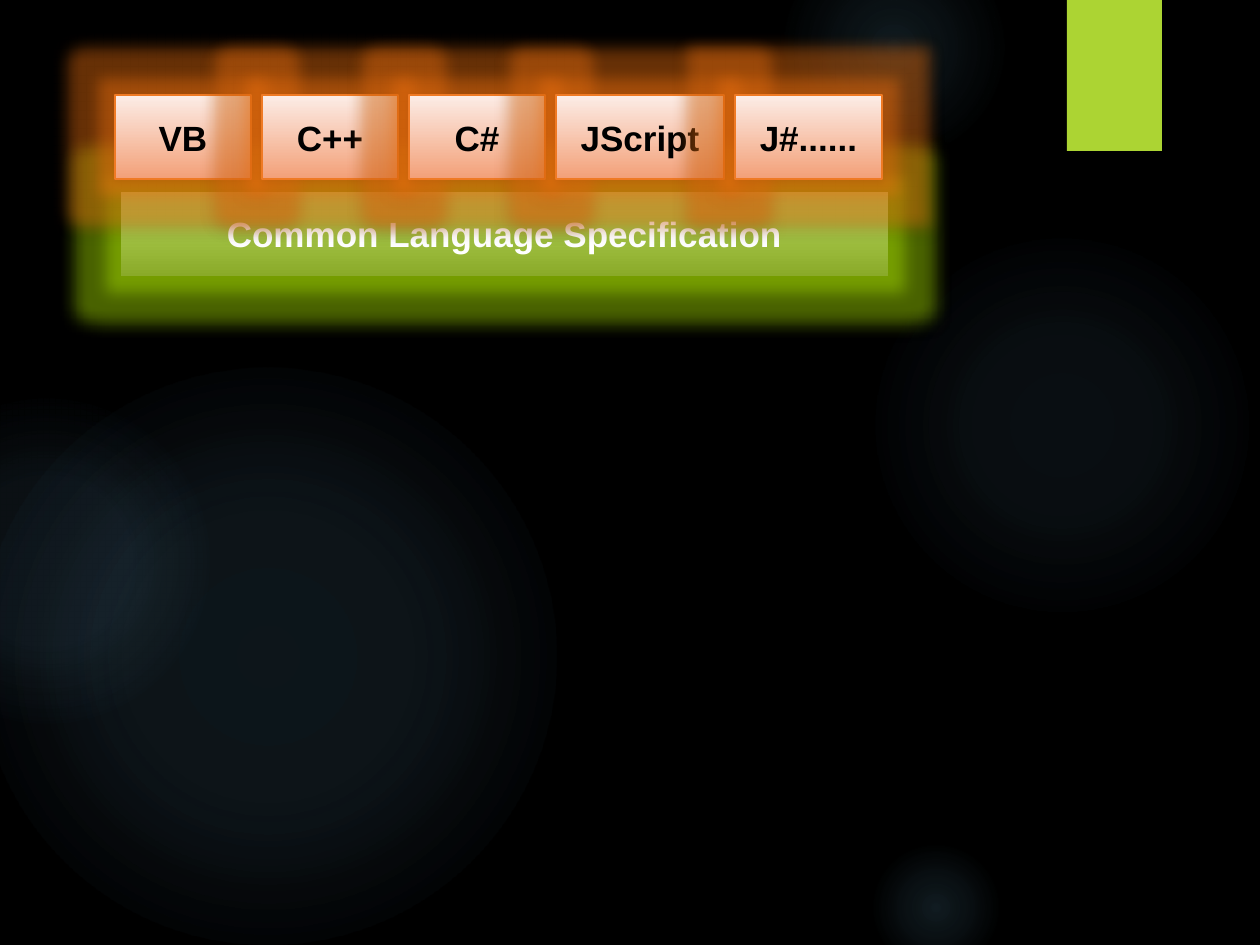
from lxml import etree
from pptx import Presentation
from pptx.dml.color import RGBColor
from pptx.enum.shapes import MSO_SHAPE
from pptx.enum.text import MSO_ANCHOR, PP_ALIGN
from pptx.oxml.ns import qn
from pptx.util import Pt

RECTANGLE, OVAL = MSO_SHAPE.RECTANGLE, MSO_SHAPE.OVAL
MIDDLE, CENTER = MSO_ANCHOR.MIDDLE, PP_ALIGN.CENTER
EMU_PER_PX = 914400 / 126
EMU_PER_PT = 12700

COLORS = {
    "background": "000000", "shadow": "000000", "halo": "7AC4F0", "tab": "ACD433",
    "bar_top": "BCDC62", "bar_bottom": "8AAA29", "bar_glow": "B8F500", "bar_text": "FFFFFF",
    "box_top": "FCEDE7", "box_bottom": "F3A078", "box_glow": "FF7810",
    "box_line": "EF7A24", "box_text": "000000",
}
LABEL_FORMAT = {"name": "Arial", "size": Pt(20), "bold": True}
GLOW = {"radius": 18, "alpha": 40}


class SlideBuilder:
    def __init__(self, deck):
        self.page = deck.slides.add_slide(deck.slide_layouts[6])
        fill = self.page.background.fill
        fill.solid()
        fill.fore_color.rgb = self.color("background")

    def color(self, name):
        return RGBColor.from_string(COLORS[name])

    def shape(self, kind, *place):
        shape = self.page.shapes.add_shape(kind, *(round(value * EMU_PER_PX) for value in place))
        shape.shadow.inherit = False
        shape.line.fill.background()
        return shape

    def add_color(self, parent, name, alpha):
        color = etree.SubElement(parent, qn("a:srgbClr"), val=COLORS[name])
        etree.SubElement(color, qn("a:alpha"), val=str(alpha * 1000))

    def gradient(self, shape, stops, radial=False):
        shape.fill.background()
        properties = shape.element.spPr
        gradient = etree.Element(qn("a:gradFill"), rotWithShape="1")
        properties.replace(properties.find(qn("a:noFill")), gradient)
        stop_list = etree.SubElement(gradient, qn("a:gsLst"))
        for position, name, alpha in stops:
            stop = etree.SubElement(stop_list, qn("a:gs"), pos=str(position * 1000))
            self.add_color(stop, name, alpha)
        if radial:
            path = etree.SubElement(gradient, qn("a:path"), path="circle")
            etree.SubElement(path, qn("a:fillToRect"), dict.fromkeys("ltrb", "50000"))
        else:
            etree.SubElement(gradient, qn("a:lin"), ang="5400000", scaled="0")

    def effects(self, shape, shadow, glow=None):
        effect_list = shape.element.spPr.find(qn("a:effectLst"))
        if glow:
            radius = str(GLOW["radius"] * EMU_PER_PT)
            halo = etree.SubElement(effect_list, qn("a:glow"), rad=radius)
            self.add_color(halo, glow, GLOW["alpha"])
        alpha, blur, distance = shadow
        drop = etree.SubElement(
            effect_list, qn("a:outerShdw"), blurRad=str(round(blur * EMU_PER_PT)),
            dist=str(round(distance * EMU_PER_PT)), dir="5400000", rotWithShape="0")
        self.add_color(drop, "shadow", alpha)

    def halo(self, left, top, size, stops):
        oval = self.shape(OVAL, left, top, size, size)
        self.gradient(oval, [(position, "halo", alpha) for position, alpha in stops], radial=True)

    def tab(self, *place):
        tab = self.shape(RECTANGLE, *place)
        tab.fill.solid()
        tab.fill.fore_color.rgb = self.color("tab")
        self.effects(tab, (45, 3, 2))

    def block(self, text, style, shadow, *place):
        block = self.shape(RECTANGLE, *place)
        self.gradient(block, [(0, f"{style}_top", 100), (100, f"{style}_bottom", 100)])
        self.effects(block, shadow, f"{style}_glow")
        frame = block.text_frame
        frame.word_wrap = False
        frame.vertical_anchor = MIDDLE
        para = frame.paragraphs[0]
        para.alignment = CENTER
        span = para.add_run()
        span.text = text
        for name, value in LABEL_FORMAT.items():
            setattr(span.font, name, value)
        span.font.color.rgb = self.color(f"{style}_text")
        return block

    def language(self, text, *place):
        box = self.block(text, "box", (40, 4, 2), *place)
        box.line.color.rgb = self.color("box_line")
        box.line.width = Pt(0.75)


HALOS = [
    (868, 231, 388, [(0, 7), (36, 6), (69, 0)]),
    (784, -63, 220, [(0, 14), (36, 7), (73, 0)]),
    (868, 840, 136, [(0, 14), (36, 7), (66, 0)]),
    (-21, 368, 577, [(0, 11), (36, 10), (75, 0)]),
    (-116, 399, 325, [(0, 8), (36, 8), (72, 0)]),
]
LANGUAGES = [("VB", 136), ("C++", 136), ("C#", 136), ("JScript", 168), ("J#......", 147)]
LANGUAGE_LEFT, LANGUAGE_TOP, LANGUAGE_GAP, BLOCK_HEIGHT = 115, 95, 11, 84


def main():
    deck = Presentation()
    deck.slide_width = round(1260 * EMU_PER_PX)
    deck.slide_height = round(945 * EMU_PER_PX)
    builder = SlideBuilder(deck)
    for halo in HALOS:
        builder.halo(*halo)
    builder.tab(1067, 0, 95, 151)
    builder.block("Common Language Specification", "bar", (42, 4, 1.6), 121, 192, 767, BLOCK_HEIGHT)
    left = LANGUAGE_LEFT
    for text, width in LANGUAGES:
        builder.language(text, left, LANGUAGE_TOP, width, BLOCK_HEIGHT)
        left += width + LANGUAGE_GAP
    deck.save("out.pptx")


if __name__ == "__main__":
    main()
